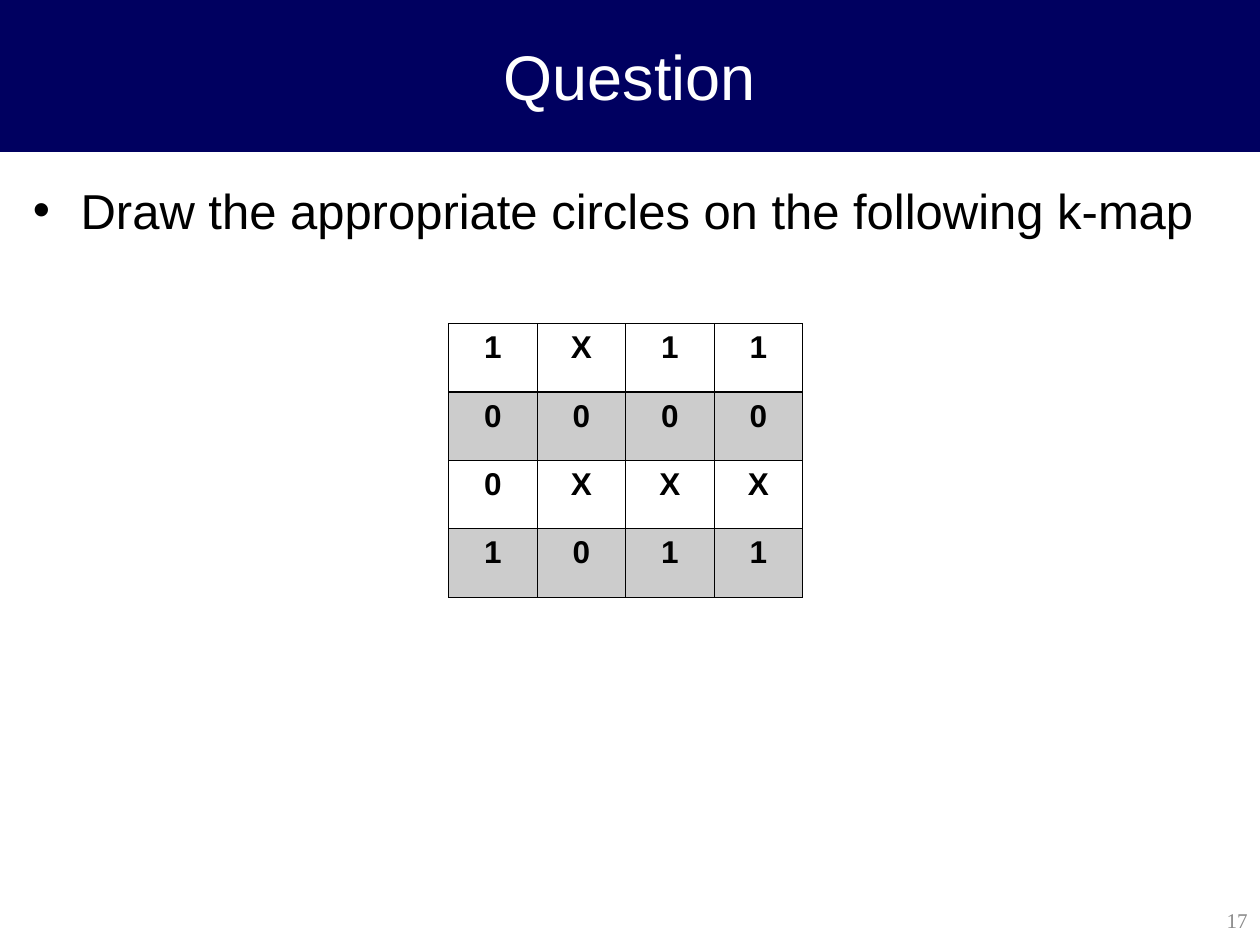
import pptx
import pptx.dml.color
import pptx.enum.shapes
import pptx.enum.text
import pptx.oxml
import pptx.oxml.ns
import pptx.util
from pptx.util import Inches

NAVY = pptx.dml.color.RGBColor(0x00, 0x00, 0x60)
WHITE = pptx.dml.color.RGBColor(0xFF, 0xFF, 0xFF)
BLACK = pptx.dml.color.RGBColor(0x00, 0x00, 0x00)
GREY = pptx.dml.color.RGBColor(0x89, 0x89, 0x89)

ALIGN = pptx.enum.text.PP_ALIGN
ANCHOR = pptx.enum.text.MSO_ANCHOR
THIN, HEADER_RULE = 0.45, 0.96  # border widths in points
KMAP = ["1X11", "0000", "0XXX", "1011"]


def xml(tag, attributes="", inner=""):
    namespace = pptx.oxml.ns.nsdecls("a")
    return pptx.oxml.parse_xml(f"<a:{tag} {namespace} {attributes}>{inner}</a:{tag}>")


def place(shape, box):
    shape.left, shape.top, shape.width, shape.height = box


def write(frame, text, size, color, align, font="Arial", bold=False):
    frame.text = text
    para = frame.paragraphs[0]
    para.alignment = align
    for span in para.runs:
        span.font.name = font
        span.font.size = pptx.util.Pt(size)
        span.font.bold = bold
        span.font.color.rgb = color
    return para


def add_title(page, box):
    # Band behind the title placeholder
    band = page.shapes.add_shape(pptx.enum.shapes.MSO_SHAPE.RECTANGLE, *box)
    band.shadow.inherit = False
    band.fill.solid()
    band.fill.fore_color.rgb = NAVY
    band.line.color.rgb = NAVY
    band.line.width = pptx.util.Pt(0.75)
    page.shapes.element.insert(2, band.element)

    title = page.shapes.title
    place(title, box)
    title.text_frame.vertical_anchor = ANCHOR.MIDDLE
    write(title.text_frame, "Question", 36, WHITE, ALIGN.CENTER)


def add_task(page, box):
    body = page.placeholders[1]
    place(body, box)
    frame = body.text_frame
    frame.margin_left = frame.margin_right = Inches(0.09)
    frame.margin_top = frame.margin_bottom = Inches(0.05)
    para = write(frame, "Draw the appropriate circles on the following k-map",
                 28, BLACK, ALIGN.LEFT)
    para.space_before = pptx.util.Pt(7)

    # Hanging bullet
    properties = para._p.get_or_add_pPr()
    properties.set("marL", str(Inches(0.38)))
    properties.set("indent", str(-Inches(0.38)))
    properties.append(xml("buClr", inner=f'<a:srgbClr val="{BLACK}"/>'))
    properties.append(xml("buFont", 'typeface="Arial"'))
    properties.append(xml("buChar", 'char="•"'))


def style_cell(cell, row):
    properties = cell._tc.get_or_add_tcPr()
    # Shade every second row
    if row % 2:
        cell.fill.solid()
        cell.fill.fore_color.rgb = BLACK
        color = properties.find(".//" + pptx.oxml.ns.qn("a:srgbClr"))
        color.append(xml("alpha", 'val="20000"'))
    else:
        cell.fill.background()

    # Borders, with a heavier rule under the first row
    widths = {"lnL": THIN, "lnR": THIN,
              "lnT": HEADER_RULE if row == 1 else THIN,
              "lnB": HEADER_RULE if row == 0 else THIN}
    for index, (side, width) in enumerate(widths.items()):
        paint = f'<a:solidFill><a:srgbClr val="{BLACK}"/></a:solidFill>'
        properties.insert(index, xml(side, f'w="{pptx.util.Pt(width)}"', paint))


def add_kmap(page, box):
    table = page.shapes.add_table(len(KMAP), len(KMAP[0]), *box).table
    table.first_row = table.horz_banding = False
    for row, values in enumerate(KMAP):
        for column, value in enumerate(values):
            cell = table.cell(row, column)
            write(cell.text_frame, value, 18, BLACK, ALIGN.CENTER, bold=True)
            style_cell(cell, row)


def add_page_number(page, box):
    frame = page.shapes.add_textbox(*box).text_frame
    frame.word_wrap = True
    frame.vertical_anchor = ANCHOR.MIDDLE
    write(frame, "17", 12, GREY, ALIGN.RIGHT, font="Times New Roman")


def main():
    deck = pptx.Presentation()
    deck.slide_width, deck.slide_height = Inches(10), Inches(7.5)
    page = deck.slides.add_slide(deck.slide_layouts[1])
    add_title(page, (0, 0, deck.slide_width, Inches(1.2)))
    add_task(page, (Inches(0.17), Inches(1.38), Inches(9.66), Inches(5.72)))
    add_page_number(page, (Inches(7.88), Inches(7.1), Inches(2.12), Inches(0.4)))
    add_kmap(page, (Inches(3.56), Inches(2.57), Inches(2.81), Inches(2.17)))
    deck.save("out.pptx")


if __name__ == "__main__":
    main()
